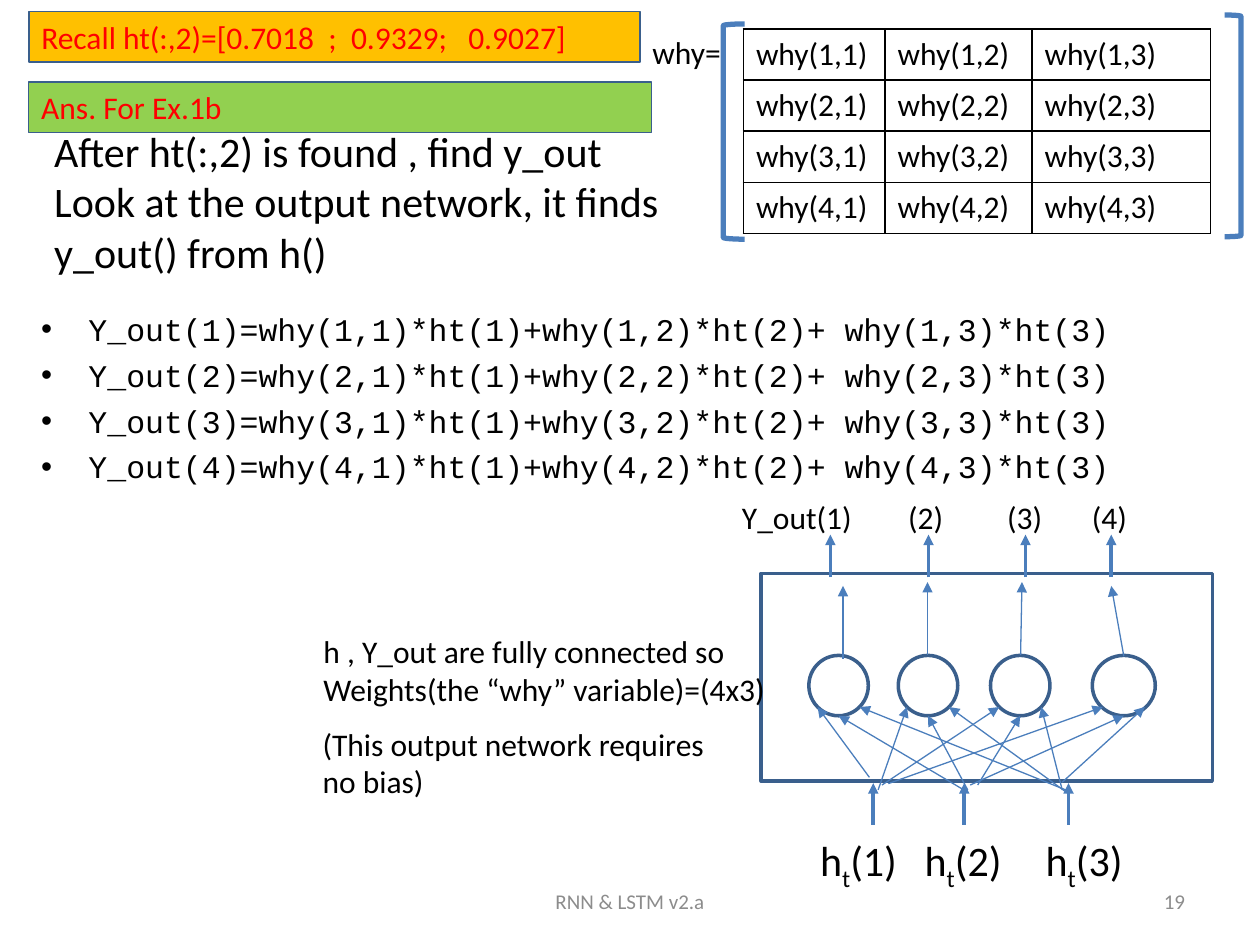
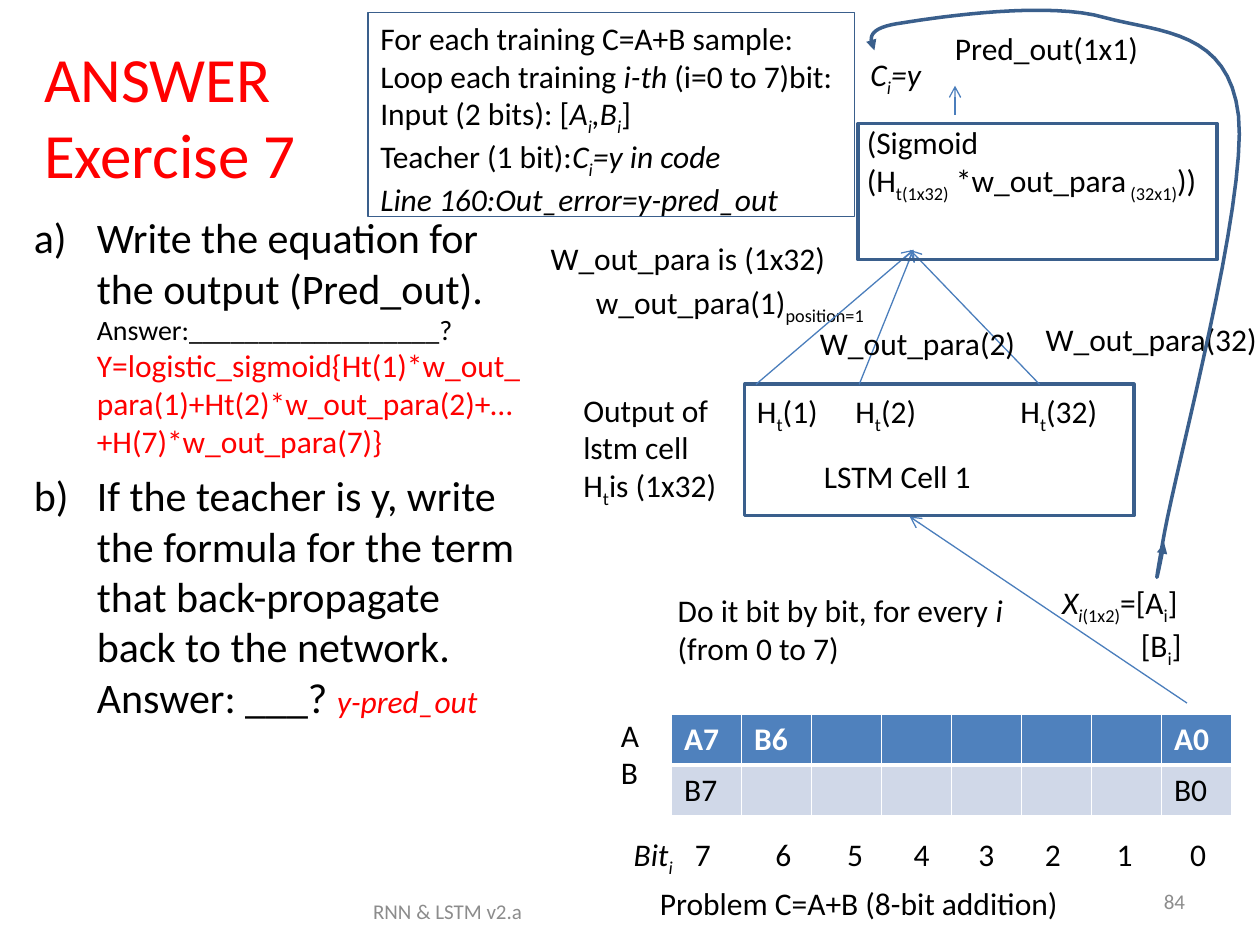
from dataclasses import dataclass

from lxml.etree import SubElement
from pptx import Presentation
from pptx.dml.color import RGBColor
from pptx.enum.shapes import MSO_CONNECTOR as Connector, MSO_SHAPE as Shape
from pptx.enum.text import MSO_ANCHOR as Anchor, MSO_AUTO_SIZE as AutoSize, PP_ALIGN as Align
from pptx.oxml.ns import qn
from pptx.util import Pt

BLACK, WHITE, RED, GREY = "000000", "FFFFFF", "FF0000", "8C8C8C"
OUTLINE, ARROW = "3A5F8C", "4B7EBC"
GREEN, ORANGE, HEADER_BLUE, PALE_BLUE = "92D050", "FFC000", "4F81BD", "D0D8E8"


def rgb(value):
    return RGBColor.from_string(value)


@dataclass
class Run:
    text: str
    sub: bool = False
    italic: bool = False
    size: float = 0
    color: str = ""


def sub(text, italic=False):
    return Run(text, sub=True, italic=italic)


def it(text):
    return Run(text, italic=True)


def bezier(start, curves, steps=16):
    """Points along a chain of cubic curves, each (control, control, end)."""
    points = [start]
    for c1, c2, end in curves:
        p0 = points[-1]
        for step in range(1, steps + 1):
            t = step / steps
            u = 1 - t
            points.append(tuple(u**3 * a + 3 * u * u * t * b + 3 * u * t * t * c + t**3 * d
                                for a, b, c, d in zip(p0, c1, c2, end)))
    return points


class Deck:
    font, body_size = "Calibri", 18

    def __init__(self):
        self.prs = Presentation()
        self.prs.slide_width, self.prs.slide_height = Pt(720), Pt(540)
        self.slide = None

    def new_slide(self, number, footer_at):
        self.slide = self.prs.slides.add_slide(self.prs.slide_layouts[5])
        self.text((*footer_at, 228, 28.8), ["RNN & LSTM v2.a"], size=12, color=GREY,
                  align=Align.CENTER, anchor=Anchor.MIDDLE)
        self.text((516.25, 500.5, 168, 28.8), [number], size=12, color=GREY,
                  align=Align.RIGHT, anchor=Anchor.MIDDLE)

    def fill_text(self, frame, paragraphs, size=0, color=BLACK, font="", bold=False,
                  align=Align.LEFT, before=0, hang=0, bullet=None, tabs=(), indents=()):
        """Each paragraph is a string or a list of strings and Runs."""
        for i, content in enumerate(paragraphs):
            para = frame.paragraphs[0] if i == 0 else frame.add_paragraph()
            para.alignment = align
            if before:
                para.space_before = Pt(before)
            props = para._p.get_or_add_pPr()
            indent = indents[i] if indents else hang
            if indent:
                props.set("marL", str(Pt(indent)))
                props.set("indent", str(-Pt(hang)))
            if bullet:
                tag, attributes = bullet
                SubElement(props, qn("a:buFont"), typeface="Arial" if tag == "a:buChar" else "+mj-lt")
                SubElement(props, qn(tag), attributes)
            if tabs:
                tab_list = SubElement(props, qn("a:tabLst"))
                for position in tabs:
                    SubElement(tab_list, qn("a:tab"), pos=str(Pt(position)), algn="l")
            for part in [content] if isinstance(content, str) else content:
                part = Run(part) if isinstance(part, str) else part
                for n, line in enumerate(part.text.split("\n")):
                    if n:
                        para.add_line_break()
                    run = para.add_run()
                    run.text = line
                    run.font.name = font or self.font
                    run.font.size = Pt(part.size or size or self.body_size)
                    run.font.bold, run.font.italic = bold, part.italic
                    run.font.color.rgb = rgb(part.color or color)
                    if part.sub:
                        run._r.get_or_add_rPr().set("baseline", "-25000")

    def title(self, box, text, size, color, bottom=3.6):
        title = self.slide.shapes.title
        title.left, title.top, title.width, title.height = map(Pt, box)
        frame = title.text_frame
        frame.word_wrap, frame.auto_size = True, AutoSize.NONE
        frame.vertical_anchor, frame.margin_bottom = Anchor.MIDDLE, Pt(bottom)
        self.fill_text(frame, [text], size=size, color=color)

    def text(self, box, paragraphs, wrap=True, anchor=Anchor.TOP, **style):
        frame = self.slide.shapes.add_textbox(*map(Pt, box)).text_frame
        frame.word_wrap, frame.vertical_anchor = wrap, anchor
        self.fill_text(frame, paragraphs, **style)

    def label(self, x, y, *paragraphs, width=100, **style):
        self.text((x, y, width, 28.8 * len(paragraphs)), paragraphs, wrap=False, **style)

    def shape(self, kind, box, fill=None, line=OUTLINE, weight=2.0, paragraphs=(),
              anchor=Anchor.MIDDLE, **style):
        shape = self.slide.shapes.add_shape(kind, *map(Pt, box))
        self.paint(shape, fill, line, weight)
        shape.text_frame.word_wrap, shape.text_frame.vertical_anchor = True, anchor
        self.fill_text(shape.text_frame, paragraphs, **style)

    def paint(self, shape, fill, line, weight):
        shape.shadow.inherit = False
        if fill:
            shape.fill.solid()
            shape.fill.fore_color.rgb = rgb(fill)
        else:
            shape.fill.background()
        shape.line.color.rgb, shape.line.width = rgb(line), Pt(weight)

    def heads(self, shape, *ends):
        for tag, head in ends:
            SubElement(shape.line._get_or_add_ln(), qn(tag), type=head)

    def arrow(self, start, end, weight=0.75, head="triangle"):
        line = self.slide.shapes.add_connector(Connector.STRAIGHT, *map(Pt, (*start, *end)))
        line.line.color.rgb, line.line.width = rgb(ARROW), Pt(weight)
        self.heads(line, ("a:tailEnd", head))
        SubElement(line._element.spPr, qn("a:effectLst"))

    def curve(self, points):
        start, *rest = [(Pt(x), Pt(y)) for x, y in points]
        builder = self.slide.shapes.build_freeform(*start, scale=1.0)
        builder.add_line_segments(rest, close=False)
        path = builder.convert_to_shape()
        self.paint(path, None, OUTLINE, 2)
        self.heads(path, ("a:headEnd", "triangle"), ("a:tailEnd", "triangle"))

    def table(self, x, y, widths, row_height, rows, fills, border, header=False):
        frame = self.slide.shapes.add_table(len(rows), len(widths), Pt(x), Pt(y),
                                            Pt(sum(widths)), Pt(row_height * len(rows)))
        table = frame.table
        table.first_row, table.horz_banding = header, False
        for column, width in zip(table.columns, widths):
            column.width = Pt(width)
        for r, values in enumerate(rows):
            table.rows[r].height = Pt(row_height)
            is_header = header and r == 0
            for c, value in enumerate(values):
                cell = table.cell(r, c)
                self.borders(cell, border, 3 if is_header else 1, 3 if header and r == 1 else 1)
                if fills:
                    cell.fill.solid()
                    cell.fill.fore_color.rgb = rgb(fills[r])
                else:
                    cell.fill.background()
                if value:
                    self.fill_text(cell.text_frame, [value], bold=is_header,
                                   color=WHITE if is_header else BLACK)

    def borders(self, cell, color, bottom, top):
        props = cell._tc.get_or_add_tcPr()
        for side, weight in (("L", 1), ("R", 1), ("T", top), ("B", bottom)):
            line = SubElement(props, qn("a:ln" + side), w=str(Pt(weight)))
            SubElement(SubElement(line, qn("a:solidFill")), qn("a:srgbClr"), val=color)


def output_network(deck):
    deck.new_slide("19", (246, 500.5))
    deck.title((23.75, 84.25, 648, 90),
               "After ht(:,2) is found , find y_out \nLook at the output network, it finds \n"
               "y_out() from h()", 24, BLACK, bottom=32.4)

    # Output equations
    equations = [f"Y_out({n})=why({n},1)*ht(1)+why({n},2)*ht(2)+ why({n},3)*ht(3)"
                 for n in range(1, 5)]
    deck.text((16.5, 173.5, 651, 311), equations, font="Courier New", before=4.6, hang=27,
              bullet=("a:buChar", {"char": "•"}))

    # Network frame, its outputs and its inputs
    deck.shape(Shape.RECTANGLE, (435, 327.6, 257.75, 118.8))
    for x in (474.5, 530.6, 586, 635):
        deck.arrow((x, 330), (x, 305.5), weight=2)
    input_places = ((499, 461.5), (551, 521.3), (610.6, 590.4))
    for n, (arrow_x, label_x) in enumerate(input_places, 1):
        deck.arrow((arrow_x, 471.25), (arrow_x, 447.5), weight=2)
        deck.text((label_x, 473.5, 70, 36), [["h", sub("t"), f"({n})"]], size=24)
    deck.text((416.9, 280.8, 260, 29), ["Y_out(1)\t(2)\t(3)\t(4)"], tabs=(95, 151.5, 200))

    # Notes
    deck.label(177.75, 357.75, "h , Y_out are fully connected so",
               "Weights(the “why” variable)=(4x3)", width=269)
    deck.label(177.25, 410.5, "(This output network requires", "no bias)", width=239)

    # Weight matrix
    deck.table(424.8, 16.5, (81, 84, 102), 29.25,
               [[f"why({r},{c})" for c in range(1, 4)] for r in range(1, 5)], None, BLACK)
    deck.label(365.75, 15.1, "why=", width=54)
    deck.shape(Shape.LEFT_BRACKET, (413.25, 13.7, 12.25, 123), line=ARROW, weight=3)
    deck.shape(Shape.RIGHT_BRACKET, (699.8, 8.6, 9.4, 126.7), line=ARROW, weight=3)

    # Neurons, each linked to its output
    neuron_centres = (479.2, 530.3, 583, 642.2)
    neuron_sizes = (34, 34, 34, 36)
    output_links = (((481.7, 376.5), (481.7, 334.8)), ((530, 374.4), (530, 332.6)),
                    ((583.2, 374.4), (584, 332.6)), ((642.2, 375), (635, 334.8)))
    for centre, size, link in zip(neuron_centres, neuron_sizes, output_links):
        deck.shape(Shape.OVAL, (centre - size / 2, 374.5, size, 34.5))
        deck.arrow(*link)

    # Full connection: input k meets every neuron at its left, bottom or right
    input_starts = (
        ((496.8, 444.2), (501.8, 451.4), (504, 448.6), (507.6, 447.8)),
        ((550.8, 451.4), (553, 451.4), (558.7, 448.6), (554.4, 448.6)),
        ((609, 451.4), (610.6, 453.6), (607, 451.4), (607, 447)),
    )
    for starts, offset, tip_y in zip(input_starts, (-12, 0, 12), (404, 409, 404)):
        for start, centre in zip(starts, neuron_centres):
            deck.arrow(start, (centre + offset, tip_y))

    # Banners
    deck.shape(Shape.RECTANGLE, (16.5, 46.8, 355.7, 29), GREEN, weight=0.75,
               paragraphs=["Ans. For Ex.1b"], color=RED)
    deck.shape(Shape.RECTANGLE, (16.5, 6.5, 349.2, 29), ORANGE, weight=0.75, color=RED,
               paragraphs=["Recall ht(:,2)=[0.7018\t;\t0.9329;\t0.9027]"],
               tabs=(164, 177, 244))


def exercise_answer(deck):
    deck.new_slide("84", (141.8, 506.2))
    deck.title((18, 20.9, 228, 90), "ANSWER\nExercise 7", 36, RED)

    # Questions and answers
    deck.text((12.25, 117.4, 295.2, 422), [
        ["Write the equation for the output (Pred_out). ",
         Run("Answer:__________________? ", size=16),
         Run("Y=logistic_sigmoid{Ht(1)*w_out_para(1)+Ht(2)*w_out_para(2)+…+H(7)*w_out_para(7)}",
             size=18, color=RED)],
        ["If the teacher is y, write the formula for the term that back-propagate back to the "
         "network. Answer: ___? ", Run("y-pred_out", italic=True, size=18, color=RED)],
    ], size=24, before=5.8, hang=36, bullet=("a:buAutoNum", {"type": "alphaLcParenR"}))

    # LSTM cell and its weights
    deck.label(333.4, 158.4, ["w_out_para(1)", sub("position=1")], width=176)
    deck.shape(Shape.RECTANGLE, (425.5, 219.6, 222.5, 75))
    for start_x, tip_x in ((432, 522), (491, 522), (594, 520)):
        deck.arrow((start_x, 219.6), (tip_x, 142.75), head="arrow")
    deck.text((463.7, 257.8, 142, 28.8), ["LSTM Cell 1"])
    for n, x, width in ((1, 425.5, 50), (2, 481.7, 50), (32, 576, 60)):
        deck.label(x, 220.3, ["H", sub("t"), f"({n})"], width=width)
    deck.label(461.5, 181.4, "W_out_para(2)", width=127)
    deck.label(590.4, 179.3, "W_out_para(32)", width=137)
    deck.label(307.5, 133.2, "W_out_para is (1x32)", width=173)
    deck.text((326.2, 219.6, 95, 72.7), ["Output of lstm cell", ["H", sub("t"), "is (1x32)"]])

    # Sigmoid output
    deck.shape(Shape.RECTANGLE, (490.3, 70.6, 205.2, 77.8))
    deck.text((488.2, 67, 242, 51), [
        "(Sigmoid", ["(H", sub("t(1x32)"), " *w_out_para", sub(" (32x1)"), "))"]])
    deck.arrow((545.75, 65.5), (545.75, 49), head="arrow")
    deck.label(538.6, 13, "Pred_out(1x1)", width=120)
    deck.label(490.3, 28.1, [it("C"), sub("i", True), it("=y")], width=44)

    # Input bits
    deck.arrow((678.25, 401.75), (519.8, 295.2), head="arrow")
    deck.table(383.75, 408.25, [40] * 8, 28.8,
               [["A7", "B6", *[""] * 5, "A0"], ["B7", *[""] * 6, "B0"]],
               (HEADER_BLUE, PALE_BLUE), WHITE, header=True)
    deck.label(347.75, 405.4, "A", "B", width=25)
    deck.text((355, 473.75, 350, 28.8),
              [[it("Bit"), sub("i", True), "\t" + "\t".join("76543210")]],
              tabs=(35, 81, 122, 160, 197, 235, 276, 318))
    deck.label(370, 501.8, "Problem C=A+B (8-bit addition)", width=245)
    deck.label(599.8, 329.75, [it("X"), sub("i", True), sub("(1x2)"), "=[A", sub("i"), "]"],
               ["[B", sub("i"), "]"], width=86, indents=(0, 45))
    deck.text((380.2, 334, 213.8, 51), ["Do it bit by bit, for every ", ] and [
        ["Do it bit by bit, for every ", it("i"), " (from 0 to 7)"]])

    # Path from the input bits to the teacher value
    deck.curve(bezier((665.3, 310.3), (
        ((661.7, 328.3), (658.1, 345.6), (665.3, 305.3)),
        ((672.5, 265), (712.8, 115.9), (707.8, 66.2)),
        ((702, 17.3), (663.8, 18.7), (631.4, 10.1)),
        ((599.8, 0.7), (538.6, 9.4), (516.2, 13)),
        ((494.6, 15.8), (496.8, 22.3), (499.7, 28.8)))))

    # Training loop
    deck.shape(Shape.RECTANGLE, (210.25, 7.2, 278, 116.6), weight=0.75, anchor=Anchor.TOP,
               paragraphs=[
                   "For each training C=A+B sample:",
                   ["Loop each training ", it("i-th"), " (i=0 to 7)bit:"],
                   ["Input (2 bits): [", it("A"), sub("i", True), it(",B"), sub("i", True), "]"],
                   ["Teacher (1 bit):", it("C"), sub("i", True), it("=y in code")],
                   [it("Line 160:Out_error=y-pred_out")]])


def main():
    deck = Deck()
    output_network(deck)
    exercise_answer(deck)
    deck.prs.save("out.pptx")


if __name__ == "__main__":
    main()
